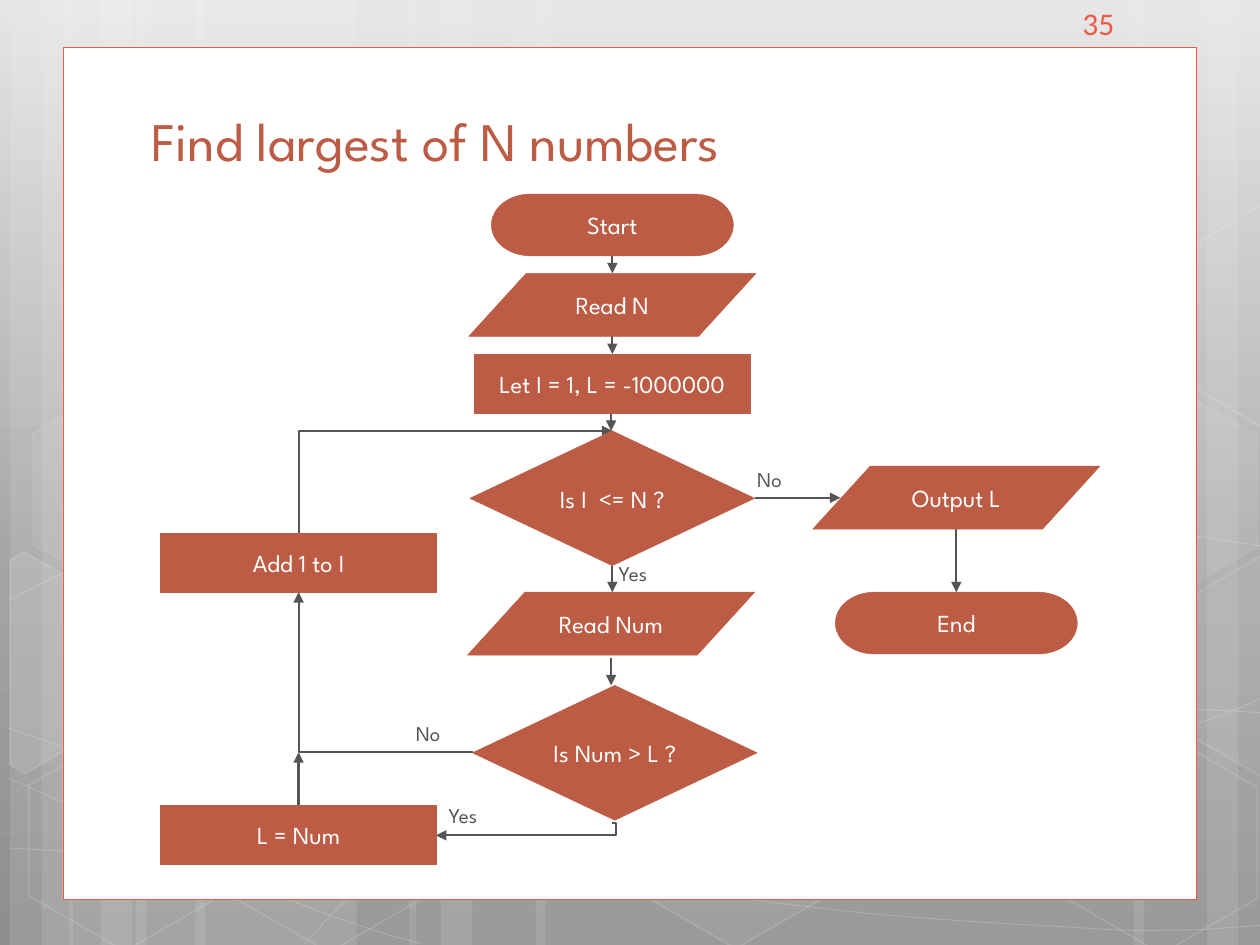
from copy import deepcopy
from lxml import etree
from pptx import Presentation
from pptx.dml.color import RGBColor
from pptx.enum.shapes import MSO_CONNECTOR, MSO_SHAPE
from pptx.enum.text import MSO_ANCHOR, PP_ALIGN
from pptx.oxml.ns import qn
from pptx.util import Inches, Pt

RECTANGLE = MSO_SHAPE.RECTANGLE
TERMINATOR = MSO_SHAPE.FLOWCHART_TERMINATOR
DATA = MSO_SHAPE.FLOWCHART_DATA
PROCESS = MSO_SHAPE.FLOWCHART_PROCESS
DECISION = MSO_SHAPE.FLOWCHART_DECISION
STRAIGHT = MSO_CONNECTOR.STRAIGHT
TOP, MIDDLE, BOTTOM = MSO_ANCHOR.TOP, MSO_ANCHOR.MIDDLE, MSO_ANCHOR.BOTTOM
LEFT, CENTER = PP_ALIGN.LEFT, PP_ALIGN.CENTER
WHITE = RGBColor(0xFF, 0xFF, 0xFF)
RUST = RGBColor(0xBD, 0x5C, 0x45)
CORAL = RGBColor(0xEF, 0x59, 0x46)
GRAY = RGBColor(0x55, 0x55, 0x55)
BACKDROP = [(0, RGBColor(0xE5, 0xE5, 0xE5)), (0.62, RGBColor(0xA3, 0xA3, 0xA3)),
            (1, RGBColor(0x8F, 0x8F, 0x8F))]
FONT = "League Spartan"
WIDTH, HEIGHT = 10, 7.5

TITLE = "Find largest of N numbers"
SIZES = {TERMINATOR: (1.92, 0.49), DATA: (2.28, 0.5),
         PROCESS: (2.19, 0.47), DECISION: (2.26, 1.07)}
STEPS = [
    ("Start", TERMINATOR, 4.86, 1.54),
    ("Read N", DATA, 4.86, 2.17),
    ("Let I = 1, L = -1000000", PROCESS, 4.86, 2.81),
    ("Is I  <= N ?", DECISION, 4.86, 3.42),
    ("Output L", DATA, 7.59, 3.7),
    ("End", TERMINATOR, 7.59, 4.7),
    ("Read Num", DATA, 4.85, 4.7),
    ("Is Num > L ?", DECISION, 4.88, 5.44),
    ("Add 1 to I", PROCESS, 2.37, 4.23),
    ("L = Num", PROCESS, 2.37, 6.39),
]
ROUTES = [
    [(4.86, 2.03), (4.86, 2.17)],
    [(4.86, 2.67), (4.86, 2.81)],
    [(4.85, 3.27), (4.85, 3.42)],
    [(4.86, 4.49), (4.86, 4.7)],
    [(4.85, 5.22), (4.85, 5.44)],
    [(5.99, 3.95), (6.67, 3.95)],
    [(7.59, 4.2), (7.59, 4.7)],
    [(2.37, 6.39), (2.37, 5.97)],
    [(4.86, 6.53), (4.89, 6.53), (4.89, 6.63), (3.46, 6.63)],
    [(3.75, 5.97), (2.37, 5.97), (2.37, 4.7)],
    [(2.37, 4.23), (2.37, 3.42), (4.86, 3.42)],
]
ANSWERS = [("Yes", 4.86, 4.4), ("Yes", 3.51, 6.32), ("No", 5.96, 3.65), ("No", 3.25, 5.67)]

BANDS = [(1.08, 1.75), (0.08, 0.5), (0.33, 0.83), (1.55, 1.75), (0.55, 0.5), (0.8, 0.83),
         (7.33, 1.75), (9.58, 0.42), (9, 0.83), (4.25, 3.08), (3.25, 0.5), (3.5, 0.83)]
CURVES = [
    [(0.07, 6.73), (0.61, 6.76), (1.15, 6.79), (1.9, 6.78), (2.65, 6.77), (3.58, 6.75),
     (4.58, 6.65), (5.58, 6.55), (7, 6.36), (7.92, 6.17), (8.83, 5.98), (9.77, 5.68),
     (10.07, 5.51)],
    [(0.07, 4.77), (0.36, 4.61), (0.65, 4.46), (1.21, 4.31), (1.78, 4.16), (2.59, 3.94),
     (3.47, 3.87), (4.36, 3.8), (5.44, 3.79), (6.54, 3.87), (7.64, 3.95), (9.47, 4.26),
     (10.07, 4.34)],
    [(0.06, 6.17), (1.27, 6.72), (2.47, 7.27), (3.34, 7.49)],
    [(0.07, 5.78), (0.38, 5.89), (0.7, 6), (1.28, 6.16), (1.86, 6.31), (2.73, 6.56),
     (3.57, 6.73), (4.4, 6.9), (5.45, 7.08), (6.28, 7.18), (7.11, 7.29), (8, 7.33),
     (8.53, 7.36), (9.05, 7.4), (9.19, 7.38), (9.45, 7.38), (9.71, 7.37), (9.89, 7.35),
     (10.07, 7.34)],
    [(2.42, 7.49), (2.6, 7.29), (2.78, 7.09), (3.02, 6.91), (3.26, 6.73), (3.6, 6.53),
     (3.88, 6.39), (4.16, 6.25), (4.33, 6.19), (4.7, 6.09), (5.06, 5.99), (5.73, 5.85),
     (6.08, 5.78), (6.44, 5.71), (6.49, 5.71), (6.8, 5.69), (7.11, 5.66), (7.6, 5.63),
     (7.94, 5.62), (8.5, 5.61), (9.4, 5.61), (10.06, 5.66)],
]
HEXAGONS = [(4.22, 1.12, 4, 8), (5.84, 6.65, 6, 12), (0.99, 6.67, 0, 12), (1.02, 3.88, 7, 8),
            (2.61, 6.68, 0, 12), (8.41, 5.29, 10, 12), (9.22, 6.69, 0, 12), (9.22, 3.9, 7, 8)]
CUT_HEXAGONS = [
    ([(0.08, 4.45), (0.19, 4.38), (0.96, 4.82), (0.95, 5.7), (0.2, 6.14), (0.08, 6.07)], 10),
    ([(9.26, 4.85), (10.01, 4.41), (10.09, 4.46), (10.09, 6.13), (10.02, 6.17), (9.26, 5.73)], 4),
    ([(9.26, 2.07), (10.01, 1.63), (10.1, 1.68), (10.09, 3.35), (10.02, 3.39), (9.26, 2.95)], 0),
]


def set_alpha(color_format_owner, percent):
    for color in color_format_owner.iter(qn("a:srgbClr")):
        etree.SubElement(color, qn("a:alpha"), val=str(percent * 1000))


def paint(shape, fill=None, line=None, weight=0.25, fill_alpha=100, line_alpha=100):
    shape.shadow.inherit = False
    if fill is None:
        shape.fill.background()
    else:
        shape.fill.solid()
        shape.fill.fore_color.rgb = fill
        if fill_alpha < 100:
            set_alpha(shape.element.spPr.find(qn("a:solidFill")), fill_alpha)
    if line is None:
        shape.line.fill.background()
    else:
        shape.line.color.rgb = line
        shape.line.width = Pt(weight)
        if line_alpha < 100:
            set_alpha(shape.element.spPr.find(qn("a:ln")), line_alpha)


def write(shape, text, size, color, align=LEFT, anchor=TOP, font=FONT, wrap=True):
    frame = shape.text_frame
    frame.word_wrap = wrap
    frame.vertical_anchor = anchor
    frame.margin_left = frame.margin_right = Inches(0.05)
    frame.margin_top = frame.margin_bottom = Inches(0.05)
    paragraph = frame.paragraphs[0]
    paragraph.alignment = align
    run = paragraph.add_run()
    run.text = text
    run.font.size = Pt(size)
    run.font.name = font
    run.font.color.rgb = color


def add_box(kind, left, top, width, height):
    return shapes.add_shape(kind, Inches(left), Inches(top), Inches(width), Inches(height))


def add_label(left, top, width, height, *text, **options):
    box = shapes.add_textbox(Inches(left), Inches(top), Inches(width), Inches(height))
    write(box, *text, **options)


def add_path(points, close):
    corners = [(Inches(x), Inches(y)) for x, y in points]
    builder = shapes.build_freeform(*corners[0])
    builder.add_line_segments(corners[1:], close=close)
    return builder.convert_to_shape()


def trace(controls, steps=12):
    points = [controls[0]]
    for first in range(0, len(controls) - 1, 3):
        curve = controls[first:first + 4]
        for step in range(1, steps + 1):
            t = step / steps
            weights = ((1 - t) ** 3, 3 * t * (1 - t) ** 2, 3 * t * t * (1 - t), t ** 3)
            points.append(tuple(sum(w * p[axis] for w, p in zip(weights, curve))
                                for axis in (0, 1)))
    return points


def add_route(points):
    if len(points) == 2:
        ends = [Inches(value) for point in points for value in point]
        route = shapes.add_connector(STRAIGHT, *ends)
        route.line.color.rgb = GRAY
        route.line.width = Pt(1.25)
        etree.SubElement(route.element.spPr, qn("a:effectLst"))
    else:
        route = add_path(points, False)
        paint(route, line=GRAY, weight=1.25)
    etree.SubElement(route.element.spPr.find(qn("a:ln")), qn("a:tailEnd"), type="triangle")


presentation = Presentation()
presentation.slide_width, presentation.slide_height = Inches(WIDTH), Inches(HEIGHT)
slide = presentation.slides.add_slide(presentation.slide_layouts[5])
shapes = slide.shapes

backdrop = slide.background.fill
backdrop.gradient()
backdrop.gradient_angle = 270
last_stop = slide.element.findall(".//" + qn("a:gs"))[-1]
last_stop.addnext(deepcopy(last_stop))
for stop, (position, color) in zip(backdrop.gradient_stops, BACKDROP):
    stop.position = position
    stop.color.rgb = color

for left, width in BANDS:
    paint(add_box(RECTANGLE, left, 0, width, HEIGHT), WHITE, fill_alpha=10)
for controls in CURVES:
    paint(add_path(trace(controls), False), line=WHITE, weight=0.5, line_alpha=20)
outlines = [([(x + dx, y + dy) for dx, dy in ((-0.76, -0.44), (0, -0.88), (0.76, -0.44),
                                              (0.76, 0.44), (0, 0.88), (-0.76, 0.44))],
             fill_alpha, line_alpha) for x, y, fill_alpha, line_alpha in HEXAGONS]
outlines += [(points, fill_alpha, 12) for points, fill_alpha in CUT_HEXAGONS]
for points, fill_alpha, line_alpha in outlines:
    paint(add_path(points, True), WHITE if fill_alpha else None, WHITE, 1, fill_alpha, line_alpha)
paint(add_box(RECTANGLE, 0.5, 0.38, 9, 6.76), WHITE, CORAL, 0.5)

title = shapes.title
title.left, title.top, title.width, title.height = map(Inches, (1.15, 0.79, 7.85, 0.63))
write(title, TITLE, 31, RUST, anchor=BOTTOM)
title.element.getparent().append(title.element)
add_label(8.54, -0.02, 0.39, 0.41, "35", 18, CORAL, font="Calibri", wrap=False)

for points in ROUTES:
    add_route(points)
for text, kind, center, top in STEPS:
    width, height = SIZES[kind]
    step = add_box(kind, center - width / 2, top, width, height)
    paint(step, RUST, RUST)
    write(step, text, 14, WHITE, CENTER, MIDDLE, wrap=False)
for text, left, top in ANSWERS:
    add_label(left, top, 0.52, 0.31, text, 12, GRAY)

presentation.save("out.pptx")
